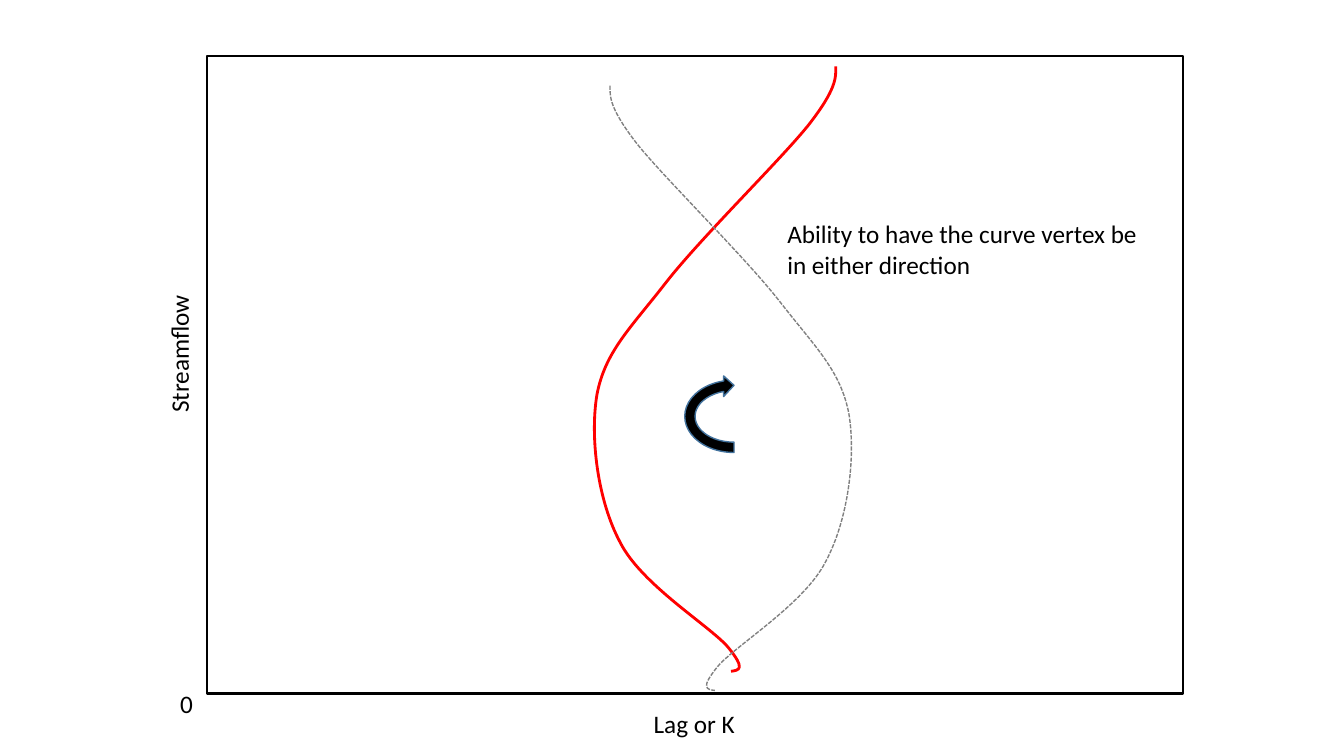
"""Sketch of a streamflow against lag curve whose vertex can face either way."""
from dataclasses import dataclass
from itertools import chain
from typing import Optional

from lxml import etree
from pptx import Presentation
from pptx.dml.color import RGBColor
from pptx.enum import dml, shapes, text
from pptx.oxml import ns
from pptx.util import Inches, Pt


@dataclass(frozen=True)
class Theme:
    """Colours, font and sizes used on the slide."""
    ink: RGBColor = RGBColor(0x00, 0x00, 0x00)
    curve: RGBColor = RGBColor(0xFF, 0x00, 0x00)
    mirrored: RGBColor = RGBColor(0x80, 0x80, 0x80)
    arrow_edge: RGBColor = RGBColor(0x43, 0x73, 0x9E)
    font: str = "Calibri"
    label_size: Pt = Pt(18)


@dataclass(frozen=True)
class Stroke:
    """Look of an outline, with its width in points."""
    color: RGBColor
    width: float
    dash: Optional[dml.MSO_LINE] = None


@dataclass(frozen=True)
class Label:
    """A text and its box in inches."""
    wording: str
    left: float
    top: float
    width: float
    height: float
    align: text.PP_ALIGN = text.PP_ALIGN.CENTER
    rotation: float = 0


Point = tuple[float, float]

THEME = Theme()
LABELS = [
    Label("Streamflow", 0.55, 3.31, 2.45, 0.4, rotation=270),
    Label("Lag or K", 5.66, 6.98, 2.45, 0.4),
    Label("0", 1.57, 6.78, 0.56, 0.42),
    Label("Ability to have the curve vertex be in either direction",
          7.71, 2.12, 3.69, 0.71, text.PP_ALIGN.LEFT),
]

# Start point, then three points for each cubic Bezier segment.
CURVE: list[Point] = [
    (8.29, 0.66),
    (8.29, 0.77), (8.3, 0.88), (8.02, 1.24),
    (7.73, 1.6), (6.95, 2.36), (6.6, 2.81),
    (6.25, 3.26), (6, 3.49), (5.92, 3.92),
    (5.85, 4.35), (5.93, 4.97), (6.15, 5.38),
    (6.36, 5.8), (7.04, 6.21), (7.22, 6.42),
    (7.4, 6.64), (7.33, 6.65), (7.25, 6.66),
]
MIRROR_AXIS = 7.17
MIRROR_DROP = 0.19


def set_line(shape, stroke: Stroke) -> None:
    """Apply a stroke to a shape and remove its shadow."""
    shape.shadow.inherit = False
    shape.line.color.rgb = stroke.color
    shape.line.width = Pt(stroke.width)
    if stroke.dash is not None:
        shape.line.dash_style = stroke.dash


def add_plot_frame(slide) -> None:
    """Draw the unfilled frame of the plot."""
    frame = slide.shapes.add_shape(
        shapes.MSO_SHAPE.RECTANGLE,
        Inches(2.05), Inches(0.56), Inches(9.68), Inches(6.32))
    frame.fill.background()
    set_line(frame, Stroke(THEME.ink, 1.5))


def add_label(slide, label: Label) -> None:
    """Write one label."""
    box = slide.shapes.add_textbox(
        Inches(label.left), Inches(label.top),
        Inches(label.width), Inches(label.height))
    box.rotation = label.rotation
    frame = box.text_frame
    frame.word_wrap = True
    frame.auto_size = text.MSO_AUTO_SIZE.SHAPE_TO_FIT_TEXT
    frame.text = label.wording
    paragraph = frame.paragraphs[0]
    paragraph.alignment = label.align
    for run in paragraph.runs:
        run.font.name = THEME.font
        run.font.size = THEME.label_size
        run.font.color.rgb = THEME.ink


def add_curve(slide, points: list[Point], stroke: Stroke) -> None:
    """Draw a smooth open curve through cubic Bezier segments."""
    start, *rest = [(Inches(x), Inches(y)) for x, y in points]
    builder = slide.shapes.build_freeform(*start)
    builder.add_line_segments(rest, close=False)
    curve = builder.convert_to_shape()
    curve.fill.background()
    set_line(curve, stroke)

    # Join each three straight steps into one Bezier segment.
    steps = list(curve._element.iter(ns.qn("a:lnTo")))
    for triple in zip(steps[::3], steps[1::3], steps[2::3]):
        bezier = etree.Element(ns.qn("a:cubicBezTo"))
        triple[0].addprevious(bezier)
        bezier.extend(list(chain.from_iterable(triple)))
        for step in triple:
            step.getparent().remove(step)


def add_flip_arrow(slide) -> None:
    """Draw the curved arrow that shows the change of direction."""
    arrow = slide.shapes.add_shape(
        shapes.MSO_SHAPE.CIRCULAR_ARROW,
        Inches(6.87), Inches(3.59), Inches(0.82), Inches(1.08))
    arrow.rotation = 270
    arrow.fill.solid()
    arrow.fill.fore_color.rgb = THEME.ink
    set_line(arrow, Stroke(THEME.arrow_edge, 1))


def main() -> None:
    """Build and save the slide."""
    deck = Presentation()
    deck.slide_width, deck.slide_height = Inches(13.33), Inches(7.5)
    slide = deck.slides.add_slide(deck.slide_layouts[6])

    add_plot_frame(slide)
    mirrored = [(2 * MIRROR_AXIS - x, y + MIRROR_DROP) for x, y in CURVE]
    add_curve(slide, CURVE, Stroke(THEME.curve, 2))
    add_curve(slide, mirrored,
              Stroke(THEME.mirrored, 1, dml.MSO_LINE.SQUARE_DOT))
    add_flip_arrow(slide)
    for label in LABELS:
        add_label(slide, label)

    deck.save("out.pptx")


main()
